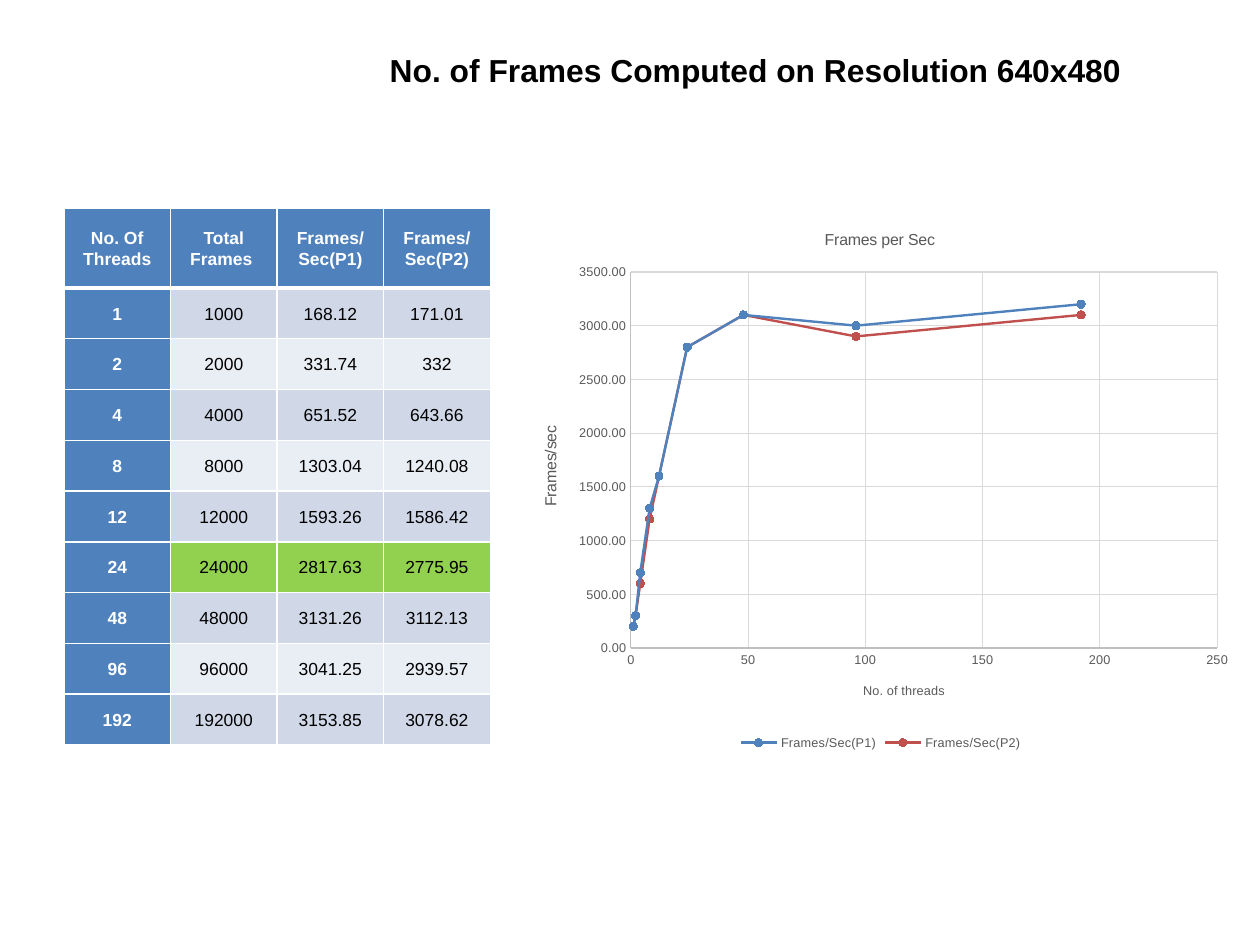
from lxml import etree
from pptx import Presentation
from pptx import util as u
from pptx.chart.data import XyChartData
from pptx.dml.color import RGBColor
from pptx.enum import chart as ch, text
from pptx.oxml.ns import qn

TITLE = "No. of Frames Computed on Resolution 640x480"
HEADER = ("No. Of Threads", "Total Frames ", "Frames/ Sec(P1)", "Frames/ Sec(P2)")
ROWS = [
    (1, 1000, 168.12, 171.01),
    (2, 2000, 331.74, 332),
    (4, 4000, 651.52, 643.66),
    (8, 8000, 1303.04, 1240.08),
    (12, 12000, 1593.26, 1586.42),
    (24, 24000, 2817.63, 2775.95),
    (48, 48000, 3131.26, 3112.13),
    (96, 96000, 3041.25, 2939.57),
    (192, 192000, 3153.85, 3078.62),
]
HIGHLIGHT_THREADS = 24
# Name, column in ROWS, colour
SERIES = [("Frames/Sec(P1)", 2, "4F81BD"), ("Frames/Sec(P2)", 3, "C0504D")]

FONT = "Arial"
BLUE, GREEN, BANDS = "4F81BD", "92D050", ("D0D8E8", "E9EDF4")
WHITE, BLACK, GREY = "FFFFFF", "000000", "595959"
AXIS_LINE, GRID_LINE = "BFBFBF", "D9D9D9"
TABLE_W, TABLE_H, HEADER_H = 3.73, 4.7, 0.7
COL_W = TABLE_W / len(HEADER)
ROW_H = (TABLE_H - HEADER_H) / len(ROWS)
CHART_W, CHART_H = 6.35, 4.78


def rgb(value):
    return RGBColor.from_string(value)


def style(font, size, color, bold=False):
    font.name, font.size, font.bold = FONT, u.Pt(size), bold
    font.color.rgb = rgb(color)


def write(tf, words, size=11, color=BLACK, bold=False, align=None, spacing=None):
    p = tf.paragraphs[0]
    p.alignment, p.line_spacing = align, spacing
    r = p.add_run()
    r.text = words
    style(r.font, size, color, bold)
    return p


def set_line(line, color, width):
    line.color.rgb = rgb(color)
    line.width = u.Pt(width)


def border(cell, **widths):
    """Draw white cell borders; widths in points by side: L, R, T, B."""
    tcPr = cell._tc.get_or_add_tcPr()
    for side in "LRTB":
        ln = etree.SubElement(tcPr, qn(f"a:ln{side}"), w=str(u.Pt(widths.get(side, 1))))
        fill = etree.SubElement(ln, qn("a:solidFill"))
        etree.SubElement(fill, qn("a:srgbClr"), val=WHITE)


def place(element, index, **inches):
    """Give a chart part a manual layout, in inches from the chart's corner."""
    for old in element.findall(qn("c:layout")):
        element.remove(old)
    layout = etree.Element(qn("c:layout"))
    manual = etree.SubElement(layout, qn("c:manualLayout"))
    if "w" in inches:
        etree.SubElement(manual, qn("c:layoutTarget"), val="inner")
    for mode in ("xMode", "yMode"):
        etree.SubElement(manual, qn(f"c:{mode}"), val="edge")
    for key, value in inches.items():
        fraction = value / (CHART_W if key in "xw" else CHART_H)
        etree.SubElement(manual, qn(f"c:{key}"), val=str(fraction))
    element.insert(index, layout)


def add_title(slide):
    sp = slide.shapes.title
    sp.left, sp.top, sp.width, sp.height = map(u.Inches, (2.41, 0.09, 7.52, 1.04))
    tf = sp.text_frame
    tf.margin_left = tf.margin_right = tf.margin_top = tf.margin_bottom = 0
    tf.vertical_anchor = text.MSO_ANCHOR.MIDDLE
    tf.word_wrap = True
    tf.auto_size = text.MSO_AUTO_SIZE.NONE
    p = write(tf, TITLE, size=20, bold=True, align=text.PP_ALIGN.LEFT)
    pPr = p._p.get_or_add_pPr()
    pPr.set("marL", str(u.Inches(1)))
    pPr.set("indent", "0")


def cell_fill(row, col):
    if row == 0 or col == 0:
        return BLUE
    if ROWS[row - 1][0] == HIGHLIGHT_THREADS:
        return GREEN
    return BANDS[(row - 1) % 2]


def add_frames_table(slide):
    grid = [HEADER] + ROWS
    table = slide.shapes.add_table(
        len(grid), len(HEADER), u.Inches(0.56), u.Inches(1.82),
        u.Inches(TABLE_W), u.Inches(TABLE_H)).table
    table.horz_banding = False
    for column in table.columns:
        column.width = u.Inches(COL_W)
    for i, values in enumerate(grid):
        table.rows[i].height = u.Inches(ROW_H if i else HEADER_H)
        for j, value in enumerate(values):
            cell = table.cell(i, j)
            border(cell, T=3 if i == 1 else 1, B=3 if i == 0 else 1)
            cell.fill.solid()
            cell.fill.fore_color.rgb = rgb(cell_fill(i, j))
            cell.margin_left = cell.margin_right = u.Inches(0.07)
            cell.margin_top = cell.margin_bottom = 0
            cell.vertical_anchor = text.MSO_ANCHOR.MIDDLE
            heading = i == 0 or j == 0
            write(cell.text_frame, str(value), color=WHITE if heading else BLACK,
                  bold=heading, align=text.PP_ALIGN.CENTER, spacing=1.07)


def format_axis(axis, title, size, maximum, step, number_format, x, y):
    axis.minimum_scale, axis.maximum_scale, axis.major_unit = 0, maximum, step
    axis.major_tick_mark = axis.minor_tick_mark = ch.XL_TICK_MARK.NONE
    axis.has_major_gridlines = True
    set_line(axis.major_gridlines.format.line, GRID_LINE, 0.75)
    set_line(axis.format.line, AXIS_LINE, 0.75)
    labels = axis.tick_labels
    labels.number_format, labels.number_format_is_linked = number_format, False
    style(labels.font, 8, GREY)
    write(axis.axis_title.text_frame, title, size=size, color=GREY)
    place(axis.axis_title._element, 1, x=x, y=y)


def add_frames_chart(slide):
    data = XyChartData()
    for name, col, _ in SERIES:
        series = data.add_series(name)
        for row in ROWS:
            series.add_data_point(row[0], int(round(row[col], -2)))
    chart = slide.shapes.add_chart(
        ch.XL_CHART_TYPE.XY_SCATTER_LINES, u.Inches(4.53), u.Inches(1.82),
        u.Inches(CHART_W), u.Inches(CHART_H), data).chart
    style(chart.font, 10, BLACK)

    chart.has_title = True
    write(chart.chart_title.text_frame, "Frames per Sec", size=10, color=GREY)
    place(chart.chart_title._element, 1, x=2.66, y=0.16)

    format_axis(chart.category_axis, "No. of threads", 8, 250, 50, "General", 3, 4.13)
    format_axis(chart.value_axis, "Frames/sec", 10, 3500, 500, "0.00", 0.17, 1.88)
    body = chart.value_axis.axis_title._element.find(".//" + qn("a:bodyPr"))
    body.set("rot", "-5400000")
    body.set("vert", "horz")

    chart.has_legend = True
    chart.legend.position = ch.XL_LEGEND_POSITION.BOTTOM
    chart.legend.include_in_layout = False
    style(chart.legend.font, 8, GREY)

    plot = chart.plots[0]
    plot.vary_by_categories = False
    for series, (_, _, color) in zip(plot.series, SERIES):
        series.smooth = False
        set_line(series.format.line, color, 1.5)
        marker = series.marker
        marker.style, marker.size = ch.XL_MARKER_STYLE.CIRCLE, 5
        marker.format.fill.solid()
        marker.format.fill.fore_color.rgb = rgb(color)
        set_line(marker.format.line, color, 0.75)
    plot_area = chart._chartSpace.find(".//" + qn("c:plotArea"))
    place(plot_area, 0, x=0.99, y=0.56, w=5.13, h=3.29)


def main():
    prs = Presentation()
    prs.slide_width, prs.slide_height = u.Mm(280), u.Mm(210)
    slide = prs.slides.add_slide(prs.slide_layouts.get_by_name("Title Only"))
    add_title(slide)
    add_frames_table(slide)
    add_frames_chart(slide)
    prs.save("out.pptx")


if __name__ == "__main__":
    main()
